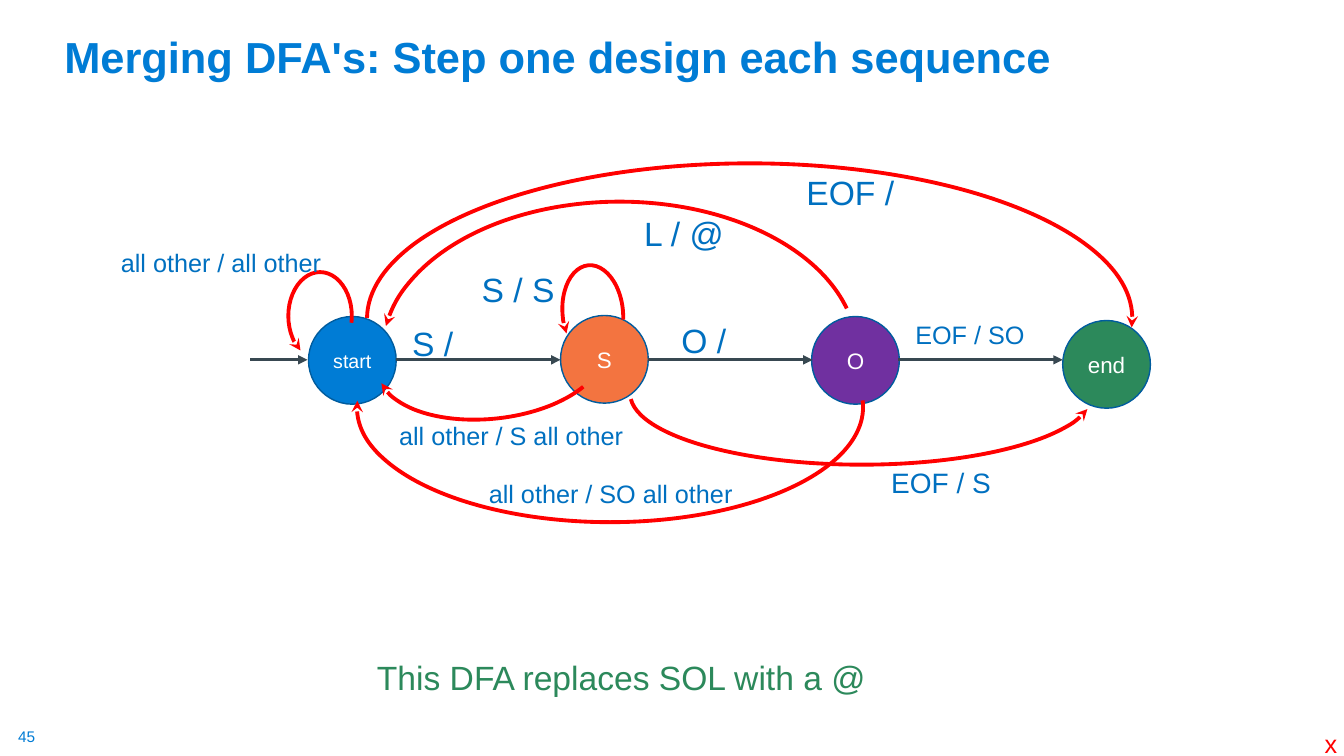
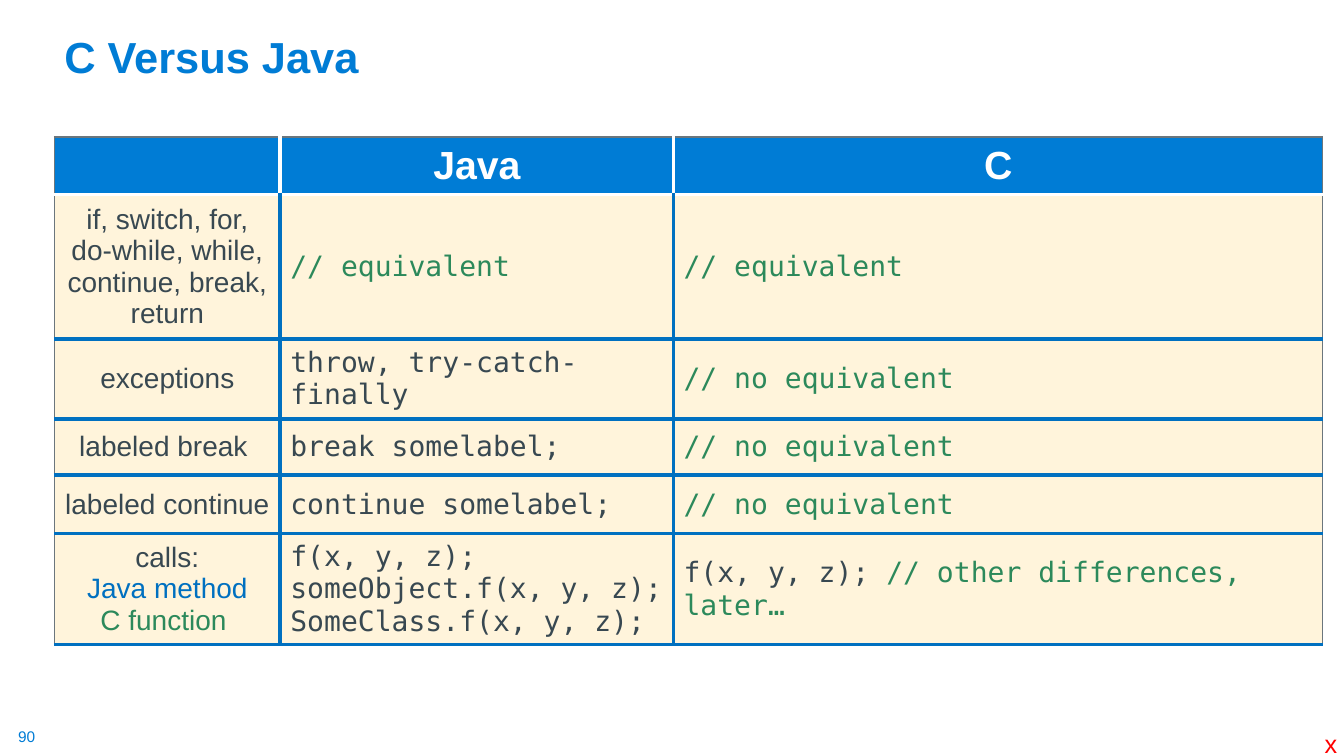
"""Build two lecture slides: a DFA diagram and a C versus Java table."""
from lxml.etree import SubElement
from pptx import Presentation
from pptx.dml.color import RGBColor
from pptx.enum.shapes import MSO_CONNECTOR, MSO_SHAPE
from pptx.enum.text import MSO_ANCHOR as ANCHOR, MSO_AUTO_SIZE as AUTO, PP_ALIGN as ALIGN
from pptx.oxml import parse_xml
from pptx.oxml.ns import nsdecls, qn
from pptx.util import Inches, Pt

SANS = "Arial"
MONO = "DejaVu Sans Mono"
BRAND = RGBColor(0x00, 0x7C, 0xD5)
BLUE = RGBColor(0x00, 0x70, 0xC0)
OUTLINE = RGBColor(0x00, 0x5C, 0x9E)
ORANGE = RGBColor(0xF3, 0x74, 0x40)
PURPLE = RGBColor(0x70, 0x30, 0xA0)
GREEN = RGBColor(0x2C, 0x89, 0x5B)
SLATE = RGBColor(0x38, 0x48, 0x51)
GREY = RGBColor(0x6B, 0x76, 0x7D)
CREAM = RGBColor(0xFF, 0xF4, 0xDB)
RED = RGBColor(0xFF, 0x00, 0x00)
WHITE = RGBColor(0xFF, 0xFF, 0xFF)
BREAK = "\v"
CIRCLE = 0.87

STATES = [
    ("start", 3.06, 3.14, BRAND, 14),
    ("S", 5.56, 3.13, ORANGE, 16),
    ("O", 8.05, 3.14, PURPLE, 16),
    ("end", 10.54, 3.18, GREEN, 16),
]
STEPS = [(2.48, 3.05), (3.93, 5.56), (6.43, 8.06), (8.91, 10.54)]
ARCS = [
    ((6.25, 3.2, 4.59, 1.41), 0, "V", 181.36, 356.07),
    ((2.86, 2.7, 0.63, 0.87), 0, "H", 167.74, 60.41),
    ((3.79, 2, 4.71, 2.99), 180, "V", 190.93, 353.55),
    ((4.29, 2.45, 1.16, 2.25), 83.8, "HV", 112.2, 264.34),
    ((3.54, 2.9, 5.02, 2.28), 180, "", 178.45, 1.48),
    ((3.64, 1.62, 7.59, 3.08), 180, "HV", 180.09, 1.33),
    ((5.58, 2.63, 0.6, 0.95), 354.6, "H", 162.09, 32.57),
]
LABELS = [
    ("S /", 3.99, 3.15, 0.71, 0.5, 24),
    ("O /", 6.66, 3.12, 0.65, 0.5, 24),
    ("L / @", 6.29, 2.06, 1, 0.5, 24),
    ("EOF / S", 8.74, 4.57, 1.2, 0.44, 20),
    ("all other / all other", 1.1, 2.4, 2.21, 0.4, 18),
    ("all other / S all other", 3.86, 4.12, 2.45, 0.4, 18),
    ("all other / SO all other", 4.75, 4.7, 2.64, 0.4, 18),
    ("EOF / SO", 8.98, 3.12, 1.3, 0.4, 18),
    ("EOF /", 7.9, 1.66, 1.08, 0.5, 24),
    ("S / S", 4.68, 2.62, 0.93, 0.5, 24),
]

COLUMNS = [2.24, 3.9, 6.44]
ROWS = [0.57, 1.43, 0.79, 0.56, 0.58, 1.1]
SAME = [[("// equivalent", GREEN)]]
NONE = [[("// no equivalent", GREEN)]]
HEADER = [[], [[("Java", WHITE)]], [[("C", WHITE)]]]
BODY = [
    [[[("if, switch, for,", SLATE), (BREAK, SLATE),
       ("do-while, while, continue, break, return", SLATE)]], SAME, SAME],
    [[[("exceptions", SLATE)]], [[("throw, try-catch-finally", SLATE)]], NONE],
    [[[("labeled break ", SLATE)]], [[("break somelabel;", SLATE)]], NONE],
    [[[("labeled continue ", SLATE)]], [[("continue somelabel;", SLATE)]], NONE],
    [[[("calls:", SLATE)], [("Java method", BLUE)], [("C function ", GREEN)]],
     [[("f(x, y, z);", SLATE)], [("someObject.f(x, y, z);", SLATE)],
      [("SomeClass.f(x, y, z);", SLATE)]],
     [[("f(x, y, z); ", SLATE), ("// other differences, later…", GREEN)]]],
]


def write(tf, paragraphs, size, font=SANS, bold=False, align=ALIGN.LEFT):
    for i, runs in enumerate(paragraphs):
        p = tf.add_paragraph() if i else tf.paragraphs[0]
        p.alignment = align
        for text, color in runs:
            if text == BREAK:
                p.add_line_break()
                continue
            r = p.add_run()
            r.text = text
            r.font.name = font
            r.font.size = Pt(size)
            r.font.bold = bold
            r.font.color.rgb = color


def add_text(s, text, x, y, w, h, size, color=BLUE, bold=False, wrap=False):
    tf = s.shapes.add_textbox(*map(Inches, (x, y, w, h))).text_frame
    tf.word_wrap = wrap
    tf.auto_size = AUTO.SHAPE_TO_FIT_TEXT
    write(tf, [[(text, color)]], size, bold=bold)
    return tf


def add_base(prs, title, number):
    s = prs.slides.add_slide(prs.slide_layouts[6])
    tf = add_text(s, title, 0.54, 0.09, 11.5, 0.78, 31, BRAND, bold=True, wrap=True)
    tf.auto_size = AUTO.NONE
    tf.vertical_anchor = ANCHOR.BOTTOM
    tf.paragraphs[0].line_spacing = 0.9
    tf = add_text(s, number, 0.18, 7.21, 0.19, 0.19, 11, BRAND)
    tf.margin_left = tf.margin_right = tf.margin_top = tf.margin_bottom = 0
    add_text(s, "x", 13.04, 7.18, 0.33, 0.4, 18, RED)
    return s


def add_state(s, name, x, y, color, size):
    sp = s.shapes.add_shape(MSO_SHAPE.OVAL, *map(Inches, (x, y, CIRCLE, CIRCLE)))
    sp.shadow.inherit = False
    sp.fill.solid()
    sp.fill.fore_color.rgb = color
    sp.line.color.rgb = OUTLINE
    sp.line.width = Pt(1)
    sp.text_frame.vertical_anchor = ANCHOR.MIDDLE
    write(sp.text_frame, [[(name, WHITE)]], size, align=ALIGN.CENTER)


def style_arrow(line, color, width, head):
    line.color.rgb = color
    line.width = Pt(width)
    SubElement(line._get_or_add_ln(), qn("a:tailEnd"), type=head)


def add_step(s, x1, x2, y):
    cxn = s.shapes.add_connector(MSO_CONNECTOR.STRAIGHT, *map(Inches, (x1, y, x2, y)))
    style_arrow(cxn.line, SLATE, 2.25, "triangle")
    SubElement(cxn.element.spPr, qn("a:effectLst"))


def add_arc(s, box, rotation, flips, start, end):
    sp = s.shapes.add_shape(MSO_SHAPE.ARC, *map(Inches, box))
    sp.shadow.inherit = False
    sp.fill.background()
    sp.rotation = rotation
    for axis in flips:
        sp.element.spPr.find(qn("a:xfrm")).set("flip" + axis, "1")
    for i, degrees in enumerate((start, end)):
        sp.adjustments[i] = degrees * 0.6
    style_arrow(sp.line, RED, 2.75, "stealth")


def set_borders(cell, row, col):
    inner = (BLUE if row else WHITE, 3)
    edge = (GREY, 1)
    left = inner if col else edge
    right = inner if col < len(COLUMNS) - 1 else edge
    top = (edge, (WHITE, 3))[row] if row < 2 else inner
    tc_pr = cell._tc.get_or_add_tcPr()
    for i, (side, (color, width)) in enumerate(zip("LRTB", (left, right, top, inner))):
        tc_pr.insert(i, parse_xml(
            f'<a:ln{side} {nsdecls("a")} w="{Pt(width)}"><a:solidFill>'
            f'<a:srgbClr val="{color}"/></a:solidFill></a:ln{side}>'))


def add_comparison(s, x, y):
    frame = s.shapes.add_table(len(ROWS), len(COLUMNS), Inches(x), Inches(y),
                               Inches(sum(COLUMNS)), Inches(sum(ROWS)))
    table = frame.table
    table.horz_banding = False
    for column, width in zip(table.columns, COLUMNS):
        column.width = Inches(width)
    for row, height in zip(table.rows, ROWS):
        row.height = Inches(height)
    for i, contents in enumerate([HEADER] + BODY):
        for j, paragraphs in enumerate(contents):
            cell = table.cell(i, j)
            cell.vertical_anchor = ANCHOR.MIDDLE
            cell.fill.solid()
            cell.fill.fore_color.rgb = CREAM if i else BRAND
            code = i > 0 and j > 0
            write(cell.text_frame, paragraphs, 20 if i else 28, MONO if code else SANS,
                  bold=i == 0, align=ALIGN.LEFT if code else ALIGN.CENTER)
            set_borders(cell, i, j)


def build_dfa(prs):
    s = add_base(prs, "Merging DFA's: Step one design each sequence", "45")
    for state in STATES:
        add_state(s, *state)
    for x1, x2 in STEPS:
        add_step(s, x1, x2, 3.57)
    for arc in ARCS:
        add_arc(s, *arc)
    for label in LABELS:
        add_text(s, *label)
    add_text(s, "This DFA replaces SOL with a @", 3.64, 6.47, 6.15, 0.5, 24, GREEN, wrap=True)


def build_comparison(prs):
    s = add_base(prs, "C Versus Java", "90")
    add_comparison(s, 0.54, 1.36)


def main():
    prs = Presentation()
    prs.slide_width, prs.slide_height = Inches(13.33), Inches(7.5)
    build_dfa(prs)
    build_comparison(prs)
    prs.save("out.pptx")


if __name__ == "__main__":
    main()
